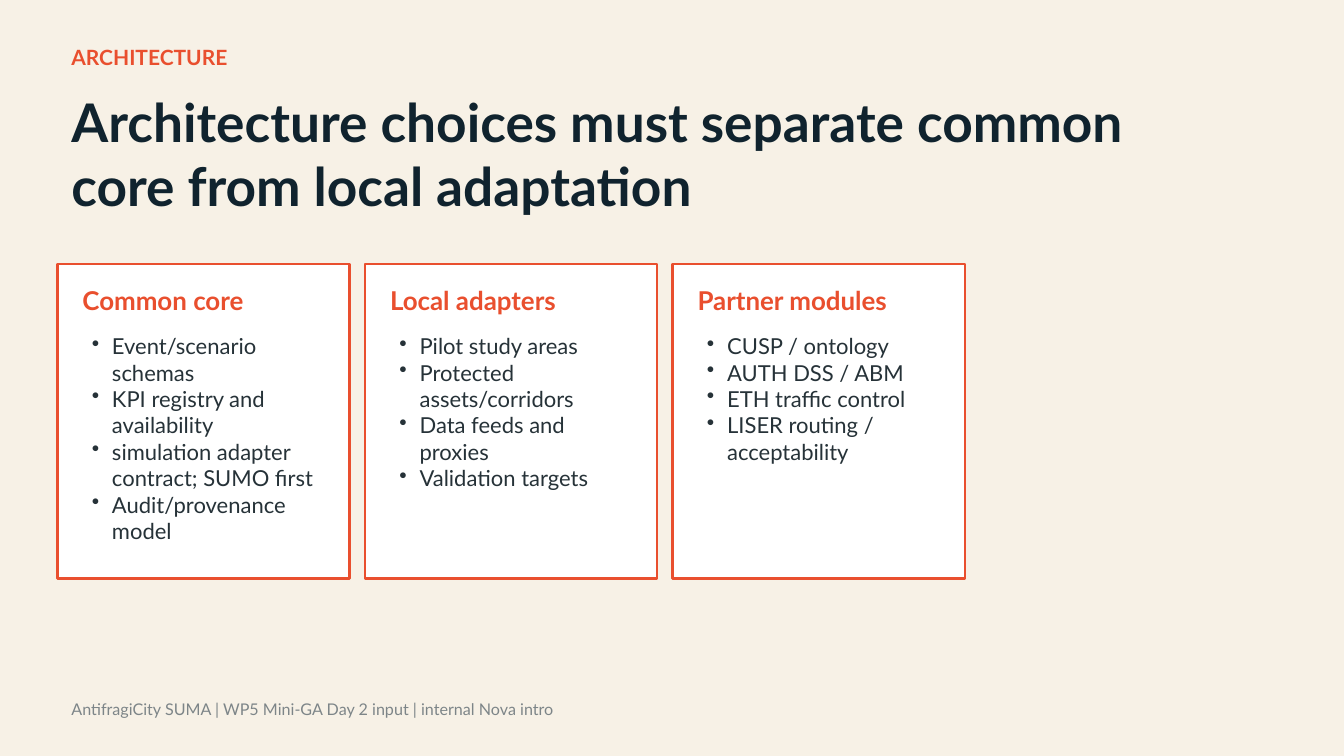
from dataclasses import dataclass

from lxml.etree import SubElement
from pptx import Presentation
from pptx.dml.color import RGBColor as Color
from pptx.enum.shapes import MSO_SHAPE as Preset
from pptx.oxml.ns import qn
from pptx.util import Pt


@dataclass(frozen=True)
class Theme:
    """Colours, typeface and type sizes of the slide."""
    font: str = "Lato"
    paper: str = "F7F1E6"
    card: str = "FFFFFF"
    accent: str = "E94F2E"
    ink: str = "10232E"
    body: str = "263238"
    muted: str = "7D8588"
    kicker_size: float = 15
    title_size: float = 38
    heading_size: float = 18.5
    body_size: float = 15.7
    footer_size: float = 11.5


class Page:
    """Draws styled elements on one slide."""

    def __init__(self, deck, theme):
        """Add a blank slide with the theme's background."""
        self.theme = theme
        self.slide = deck.slides.add_slide(deck.slide_layouts[6])
        fill = self.slide.background.fill
        fill.solid()
        fill.fore_color.rgb = Color.from_string(theme.paper)

    def text(self, left, top, width, height, lines, size, color, bold=False, bullets=False):
        """Add a text box with one paragraph per line."""
        box = self.slide.shapes.add_textbox(Pt(left), Pt(top), Pt(width), Pt(height))
        frame = box.text_frame
        frame.word_wrap = True
        for index, line in enumerate(lines):
            para = frame.add_paragraph() if index else frame.paragraphs[0]
            para.text = line
            if bullets:
                self.bullet(para)
            para.font.name = self.theme.font
            para.font.size = Pt(size)
            para.font.bold = bold
            para.font.color.rgb = Color.from_string(color)

    def bullet(self, para):
        """Give a paragraph a hanging round bullet."""
        properties = para._p.get_or_add_pPr()
        properties.set("marL", str(Pt(20.2)))
        properties.set("indent", str(Pt(-14.4)))
        SubElement(properties, qn("a:buChar")).set("char", "•")

    def card(self, left, top, width, height, heading, items):
        """Add an outlined card with a heading and a bulleted list."""
        theme = self.theme
        box = self.slide.shapes.add_shape(
            Preset.RECTANGLE, Pt(left), Pt(top), Pt(width), Pt(height))
        box.shadow.inherit = False
        box.fill.solid()
        box.fill.fore_color.rgb = Color.from_string(theme.card)
        box.line.color.rgb = Color.from_string(theme.accent)
        box.line.width = Pt(1.73)
        inner = width - 22.3
        self.text(left + 10.8, top + 10.8, inner, 28, [heading],
                  theme.heading_size, theme.accent, bold=True)
        self.text(left + 11.7, top + 45.4, inner, 161.3, items,
                  theme.body_size, theme.body, bullets=True)


CARDS = {
    "Common core": [
        "Event/scenario schemas",
        "KPI registry and availability",
        "simulation adapter contract; SUMO first",
        "Audit/provenance model",
    ],
    "Local adapters": [
        "Pilot study areas",
        "Protected assets/corridors",
        "Data feeds and proxies",
        "Validation targets",
    ],
    "Partner modules": [
        "CUSP / ontology",
        "AUTH DSS / ABM",
        "ETH traffic control",
        "LISER routing / acceptability",
    ],
}


def main():
    """Build the slide and save it."""
    deck = Presentation()
    deck.slide_width, deck.slide_height = Pt(960), Pt(540)
    theme = Theme()
    page = Page(deck, theme)
    page.text(43.9, 28, 818.6, 24, ["ARCHITECTURE"],
              theme.kicker_size, theme.accent, bold=True)
    page.text(43.9, 60, 818.6, 77,
              ["Architecture choices must separate common core from local adaptation"],
              theme.title_size, theme.ink, bold=True)
    for column, (heading, items) in enumerate(CARDS.items()):
        page.card(41 + column * 219.7, 188.7, 208.8, 224.6, heading, items)
    page.text(43.9, 496, 826.6, 17.3,
              ["AntifragiCity SUMA | WP5 Mini-GA Day 2 input | internal Nova intro"],
              theme.footer_size, theme.muted)
    deck.save("out.pptx")


if __name__ == "__main__":
    main()
